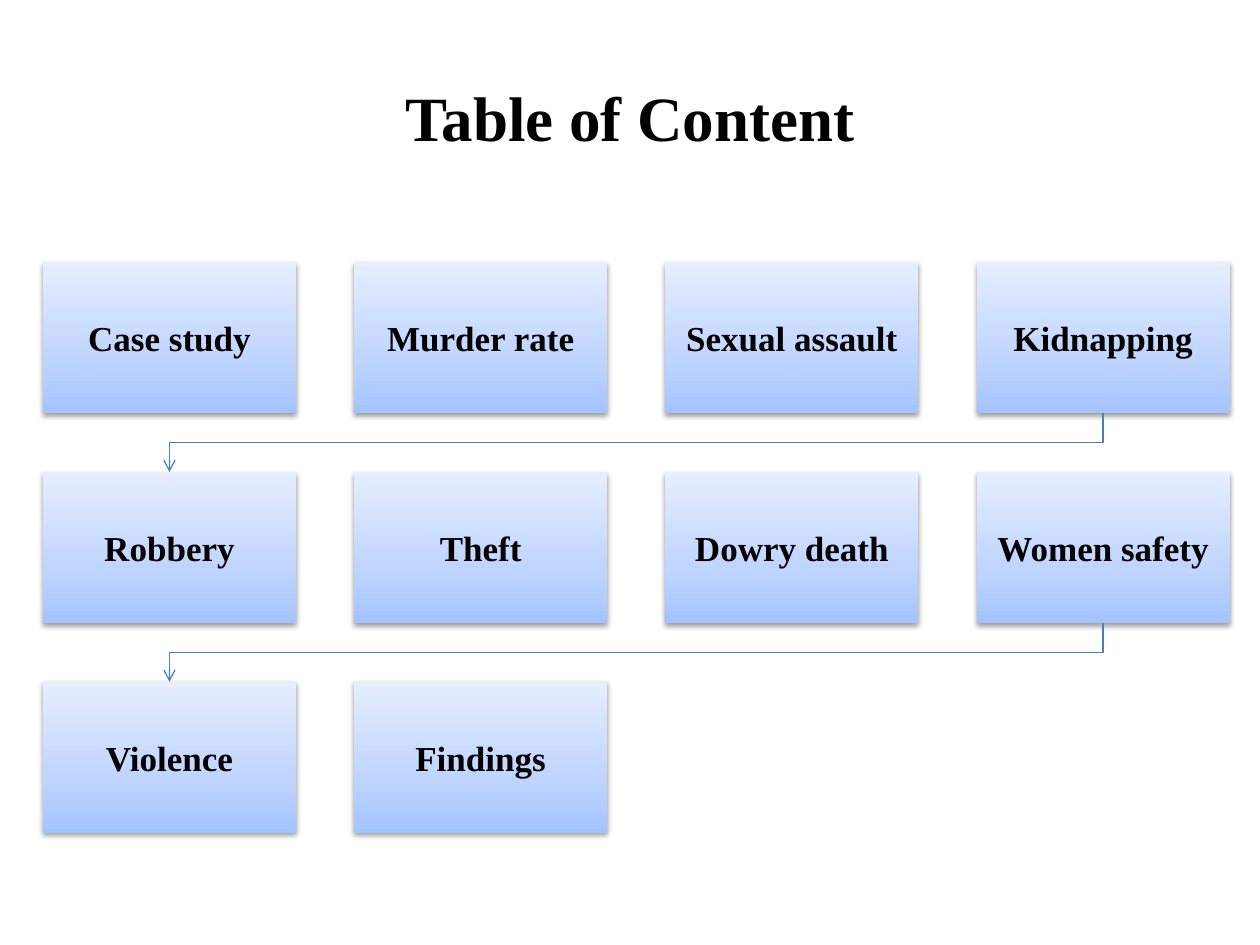
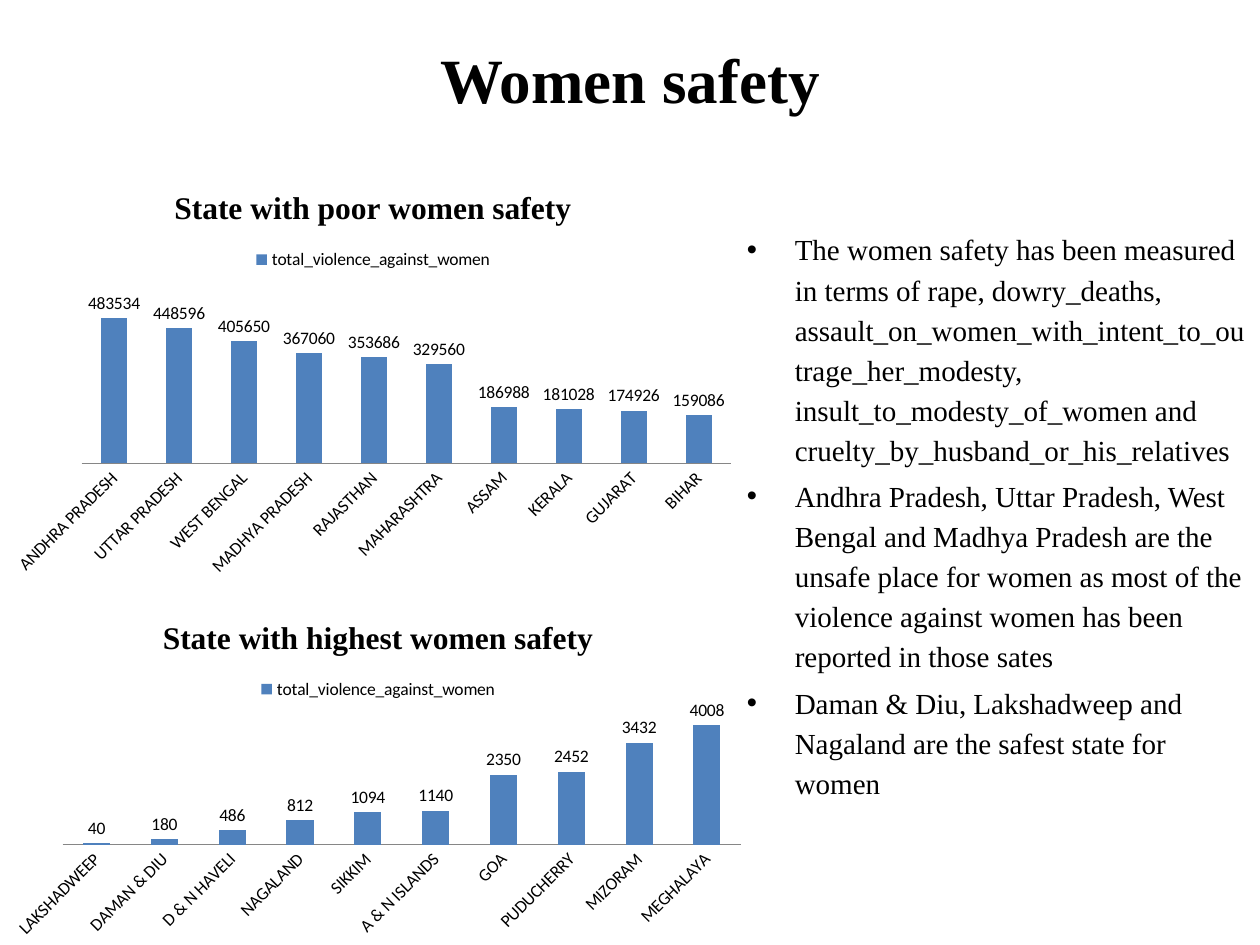
from lxml import etree
from pptx import Presentation
from pptx.chart.data import CategoryChartData
from pptx.dml.color import RGBColor
from pptx.enum.chart import XL_CHART_TYPE, XL_LABEL_POSITION, XL_LEGEND_POSITION, XL_TICK_MARK
from pptx.enum.shapes import MSO_SHAPE
from pptx.enum.text import MSO_ANCHOR, PP_ALIGN
from pptx.oxml import parse_xml
from pptx.oxml.ns import nsdecls, qn
from pptx.util import Inches, Pt

COLORS = {"text": "000000", "bar": "4F81BD", "axis": "868686", "arrow": "4B7EBC",
          "box_bottom": "A4C4FF", "box_middle": "BFD4FF", "box_top": "E6EEFF"}
SERIF, SANS = "Times New Roman", "Calibri"

TOPICS = ["Case study", "Murder rate", "Sexual assault", "Kidnapping",
          "Robbery", "Theft", "Dowry death", "Women safety",
          "Violence", "Findings"]
COLUMNS = 4
GRID_LEFT, GRID_TOP = 0.34, 2.08
BOX_WIDTH, BOX_HEIGHT = 2.01, 1.2
COLUMN_STEP, ROW_STEP = 2.47, 1.665
BOX_STOPS = [(0, "box_bottom"), (35, "box_middle"), (100, "box_top")]

FINDINGS = [
    "The women safety has been measured in terms of rape, dowry_deaths, "
    "assault_on_women_with_intent_to_outrage_her_modesty, "
    "insult_to_modesty_of_women and cruelty_by_husband_or_his_relatives",
    "Andhra Pradesh, Uttar Pradesh, West Bengal and Madhya Pradesh are the unsafe place "
    "for women as most of the violence against women has been reported in those sates",
    "Daman & Diu, Lakshadweep and Nagaland are the safest state for women",
]
FINDINGS_AREA = (5.83, 1.75, 4.17, 4.95)

SERIES_NAME = "total_violence_against_women"
CHARTS = [
    {"title": "State with poor women safety", "area": (0, 1.33, 5.92, 3.31),
     "values": {"ANDHRA PRADESH": 483534, "UTTAR PRADESH": 448596, "WEST BENGAL": 405650,
                "MADHYA PRADESH": 367060, "RAJASTHAN": 353686, "MAHARASHTRA": 329560,
                "ASSAM": 186988, "KERALA": 181028, "GUJARAT": 174926, "BIHAR": 159086}},
    {"title": "State with highest women safety", "area": (0, 4.75, 6, 2.75),
     "values": {"LAKSHADWEEP": 40, "DAMAN & DIU": 180, "D & N HAVELI": 486,
                "NAGALAND": 812, "SIKKIM": 1094, "A & N ISLANDS": 1140, "GOA": 2350,
                "PUDUCHERRY": 2452, "MIZORAM": 3432, "MEGHALAYA": 4008}},
]


def color(name):
    return RGBColor.from_string(COLORS[name])


def inches(*lengths):
    return [Inches(length) for length in lengths]


def style_font(font, name, size, bold=False):
    font.name, font.size, font.bold = name, Pt(size), bold
    font.color.rgb = color("text")


def add_titled_slide(presentation, text, top):
    slide = presentation.slides.add_slide(presentation.slide_layouts[5])
    title = slide.shapes.title
    title.left, title.top, title.width, title.height = inches(0.5, top, 9, 1.25)
    title.text_frame.text = text
    title.text_frame.vertical_anchor = MSO_ANCHOR.MIDDLE
    paragraph = title.text_frame.paragraphs[0]
    paragraph.alignment = PP_ALIGN.CENTER
    style_font(paragraph.runs[0].font, SERIF, 36, True)
    return slide


def style_box(box):
    """Give a box its three-stop gradient and soft shadow."""
    box.line.fill.background()
    box.fill.gradient()
    box.fill.gradient_angle = 90
    properties = box._element.spPr
    stops = properties.find(qn("a:gradFill")).find(qn("a:gsLst"))
    for stop in list(stops):
        stops.remove(stop)
    for percent, name in BOX_STOPS:
        stop = etree.SubElement(stops, qn("a:gs"), pos=str(percent * 1000))
        etree.SubElement(stop, qn("a:srgbClr"), val=COLORS[name])
    box.shadow.inherit = False
    properties.find(qn("a:effectLst")).append(parse_xml(
        f'<a:outerShdw {nsdecls("a")} blurRad="{Pt(3.1)}" dist="{Pt(1.6)}" dir="5400000" '
        'rotWithShape="0"><a:srgbClr val="000000"><a:alpha val="38000"/></a:srgbClr>'
        '</a:outerShdw>'))


def add_topic(slide, index, topic):
    row, column = divmod(index, COLUMNS)
    box = slide.shapes.add_shape(MSO_SHAPE.RECTANGLE, *inches(
        GRID_LEFT + column * COLUMN_STEP, GRID_TOP + row * ROW_STEP, BOX_WIDTH, BOX_HEIGHT))
    style_box(box)
    frame = box.text_frame
    frame.word_wrap = True
    frame.vertical_anchor = MSO_ANCHOR.MIDDLE
    frame.margin_left = frame.margin_right = Inches(0.15)
    frame.text = topic
    paragraph = frame.paragraphs[0]
    paragraph.alignment = PP_ALIGN.CENTER
    style_font(paragraph.runs[0].font, SERIF, 20, True)


def add_row_arrow(slide, row):
    """Lead from the last box of a row to the first box of the next."""
    left = GRID_LEFT + BOX_WIDTH / 2
    right = left + (COLUMNS - 1) * COLUMN_STEP
    top = GRID_TOP + row * ROW_STEP + BOX_HEIGHT
    bottom = GRID_TOP + (row + 1) * ROW_STEP
    middle = (top + bottom) / 2
    builder = slide.shapes.build_freeform(*inches(right, top))
    builder.add_line_segments(
        [inches(right, middle), inches(left, middle), inches(left, bottom)], close=False)
    arrow = builder.convert_to_shape()
    arrow.fill.background()
    arrow.shadow.inherit = False
    arrow.line.color.rgb = color("arrow")
    arrow.line.width = Pt(0.75)
    etree.SubElement(arrow.line._get_or_add_ln(), qn("a:tailEnd"), type="arrow")


def add_findings(slide):
    frame = slide.shapes.add_textbox(*inches(*FINDINGS_AREA)).text_frame
    frame.word_wrap = True
    for index, finding in enumerate(FINDINGS):
        paragraph = frame.add_paragraph() if index else frame.paragraphs[0]
        paragraph.text = finding
        paragraph.line_spacing = 1.15
        paragraph.space_before = Pt(3.5)
        style_font(paragraph.runs[0].font, SERIF, 16.6)
        properties = paragraph._p.get_or_add_pPr()
        properties.set("marL", str(Inches(0.38)))
        properties.set("indent", str(-Inches(0.38)))
        etree.SubElement(properties, qn("a:buFont"), typeface="Arial")
        etree.SubElement(properties, qn("a:buChar"), char="•")


def add_state_chart(slide, content):
    data = CategoryChartData()
    data.categories = list(content["values"])
    data.add_series(SERIES_NAME, list(content["values"].values()))
    chart = slide.shapes.add_chart(
        XL_CHART_TYPE.COLUMN_CLUSTERED, *inches(*content["area"]), data).chart
    style_font(chart.font, SANS, 10)

    title = chart.chart_title
    title.text_frame.text = content["title"]
    title.include_in_layout = False
    style_font(title.text_frame.paragraphs[0].runs[0].font, SERIF, 18, True)

    chart.has_legend = True
    chart.legend.position = XL_LEGEND_POSITION.TOP
    chart.legend.include_in_layout = False
    style_font(chart.legend.font, SANS, 10)

    chart.value_axis.visible = False
    chart.value_axis.has_major_gridlines = False
    states = chart.category_axis
    states.major_tick_mark = XL_TICK_MARK.NONE
    states.format.line.color.rgb = color("axis")
    style_font(states.tick_labels.font, SANS, 10)
    label_body = states._element.find(qn("c:txPr")).find(qn("a:bodyPr"))
    label_body.set("rot", "-2700000")
    label_body.set("vert", "horz")

    plot = chart.plots[0]
    plot.vary_by_categories = False
    plot.gap_width, plot.overlap = 150, -25
    fill = plot.series[0].format.fill
    fill.solid()
    fill.fore_color.rgb = color("bar")
    plot.has_data_labels = True
    labels = plot.data_labels
    labels.show_value = True
    labels.position = XL_LABEL_POSITION.OUTSIDE_END
    style_font(labels.font, SANS, 10)


def main():
    presentation = Presentation()
    presentation.slide_width, presentation.slide_height = inches(10, 7.5)

    contents = add_titled_slide(presentation, "Table of Content", 0.3)
    for index, topic in enumerate(TOPICS):
        add_topic(contents, index, topic)
    for row in range((len(TOPICS) - 1) // COLUMNS):
        add_row_arrow(contents, row)

    safety = add_titled_slide(presentation, "Women safety", 0)
    add_findings(safety)
    for content in CHARTS:
        add_state_chart(safety, content)

    presentation.save("out.pptx")


if __name__ == "__main__":
    main()
